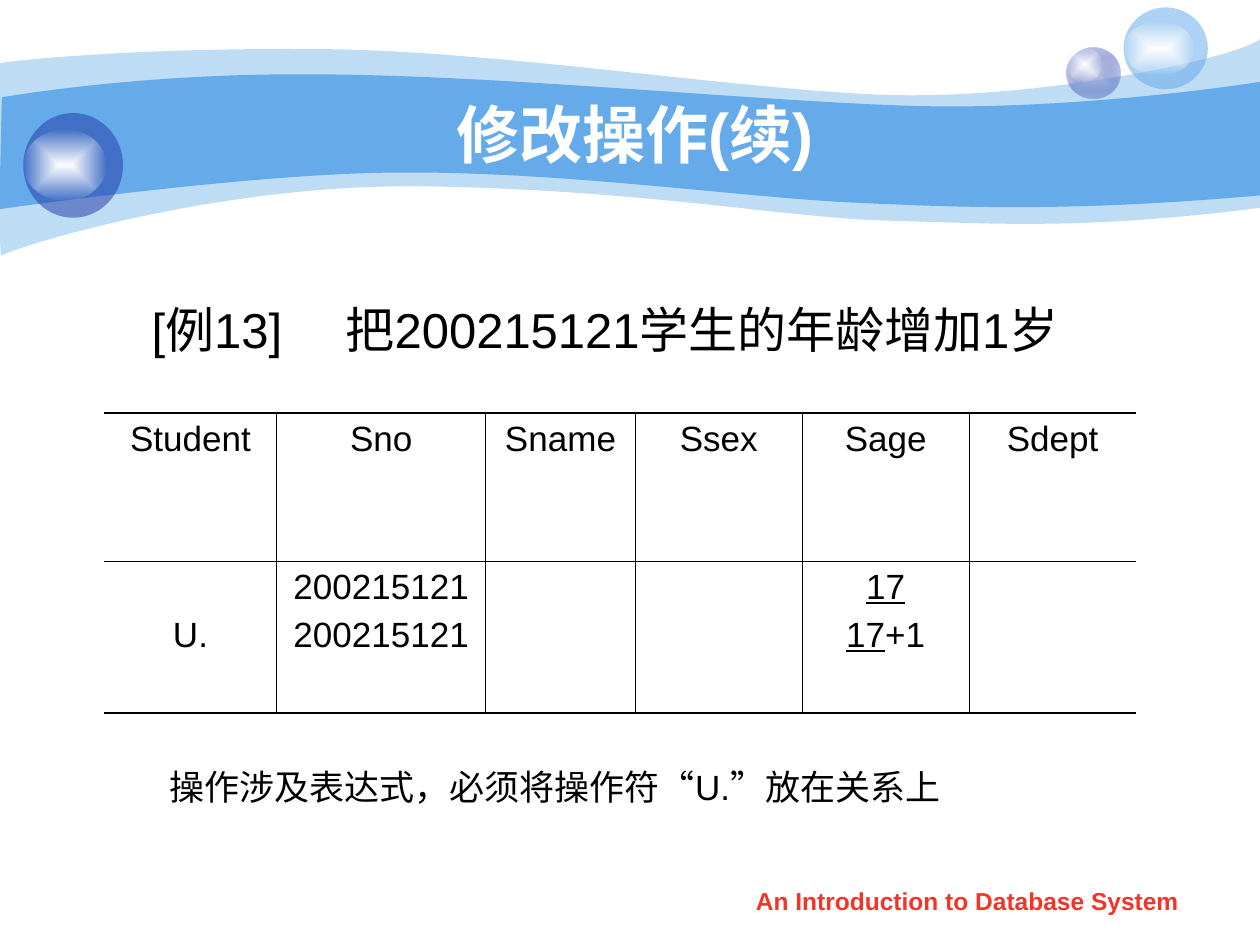
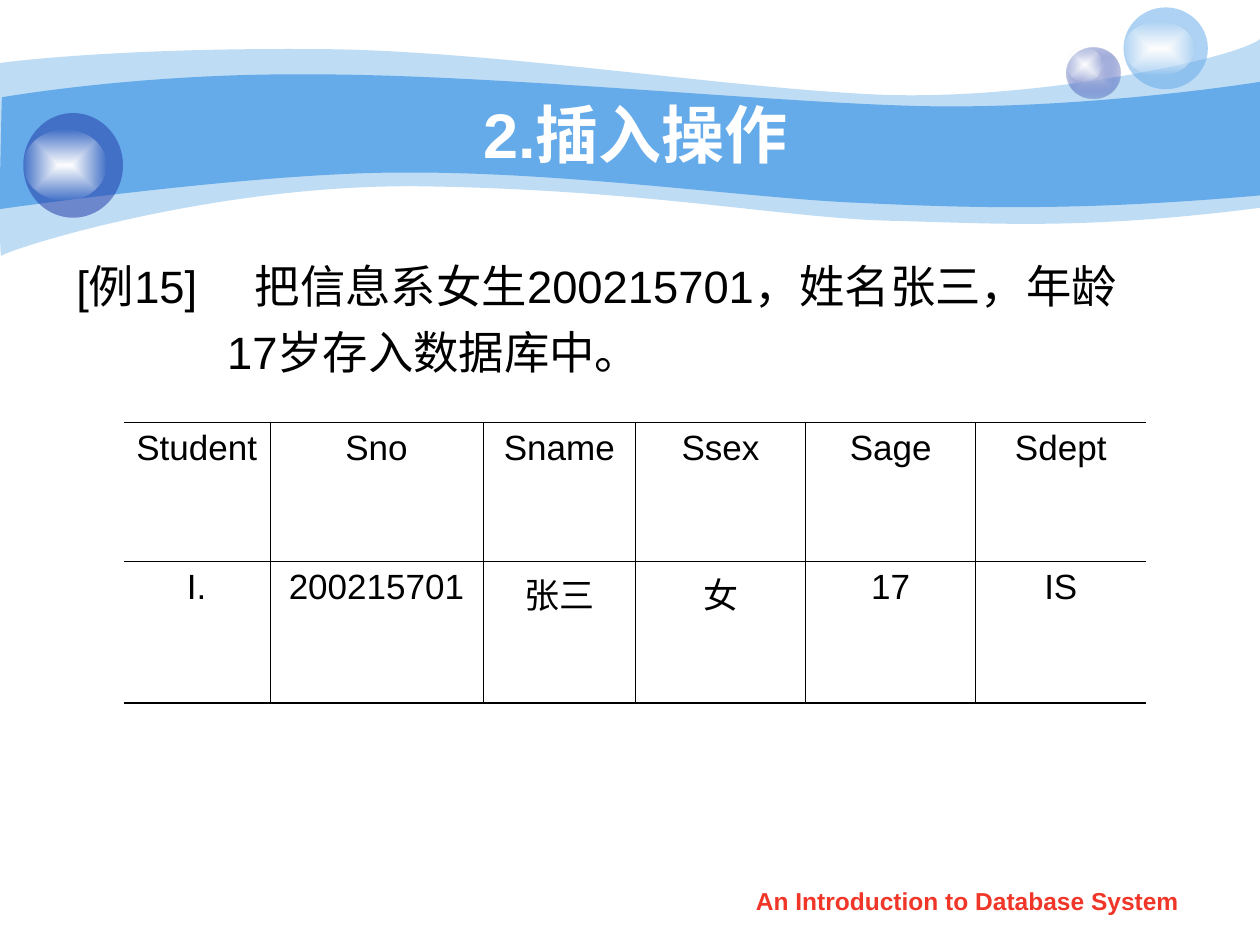
"""Build two slides on update and insert operations of a database course."""
from itertools import product
from lxml import etree
from pptx import Presentation
from pptx import util as u
from pptx.dml.color import RGBColor
from pptx.enum import lang, shapes, text
from pptx.oxml.ns import qn

COLORS = {
    "sky": "65AAE9", "navy": "233DA9", "mist": "C7CEE9",
    "white": "FFFFFF", "black": "000000", "red": "F03628",
}
FONT = "Arial"
FOOTER = "An Introduction to Database System"
HEADINGS = ["Student", "Sno", "Sname", "Ssex", "Sage", "Sdept"]
THICK, THIN = u.Pt(1.08), u.Pt(0.45)

PALE_WAVE = [
    (0, 1.27),
    (0.61, 1.19, 2.74, 0.97, 6.27, 0.99),
    (9.8, 0.99, 14.61, 1.78, 17.75, 1.91),
    (20.88, 2.03, 24.89, 1.19, 25.4, 0.79),
    (25.4, 4.19),
    (21.79, 4.65, 20.02, 4.5, 17.91, 4.45),
    (15.8, 4.39, 13.08, 3.84, 8.71, 3.76),
    (4.37, 3.66, 0.1, 5.05, 0.03, 5.16),
    (-0.03, 5.28, 0, 1.91, 0, 1.27),
]
BRIGHT_WAVE = [
    (0.04, 1.96),
    (0.08, 1.96, 2.79, 1.47, 6.3, 1.5),
    (9.83, 1.5, 15.14, 2.03, 18.24, 2.13),
    (21.36, 2.24, 24.79, 1.75, 25.4, 1.65),
    (25.4, 3.94),
    (21.67, 4.27, 19.46, 4.19, 17.32, 4.09),
    (15.21, 4.01, 11.35, 3.45, 8.05, 3.48),
    (5.16, 3.48, -0.05, 4.22, -0.03, 4.22),
    (0, 4.22, 0.03, 1.96, 0.04, 1.96),
]
WAVES = [(PALE_WAVE, 41), (BRIGHT_WAVE, 100)]

GLOW = [("white", 100), ("white", 0)]
BUBBLES = [
    (21.51, 0.96, 1.07, 1.02, [("mist", 100), ("navy", 31)]),
    (21.51, 0.96, 0.71, 0.69, GLOW),
    (22.65, 0.15, 1.7, 1.65, [("sky", 53)]),
    (22.65, 0.43, 1.42, 1.09, GLOW),
    (0.47, 2.28, 2.01, 2.11, [("navy", 53)]),
    (0.47, 2.62, 1.68, 1.42, GLOW),
]

SLIDES = [
    {
        "title": "修改操作(续)",
        "notes": [
            ((3.06, 6.03, 21.5, 1.5), 28, 3.91, "[例13]\t把200215121学生的年龄增加1岁"),
            ((3.41, 15.43, 20, 1.1), 20, 0, "操作涉及表达式，必须将操作符“U.”放在关系上"),
        ],
        "table_at": (2.1, 8.33),
        "columns": [3.48, 4.21, 3.02, 3.36, 3.37, 3.36],
        "rows": [2.99, 3.05],
        "record": ["U.", "200215121\n200215121", "", "", "17\n17", ""],
    },
    {
        "title": "2.插入操作",
        "notes": [
            ((1.54, 5.2, 23, 2.7), 25.9, 3.6,
             "[例15]\t把信息系女生200215701，姓名张三，年龄\n17岁存入数据库中。"),
        ],
        "table_at": (2.49, 8.52),
        "columns": [2.95, 4.3, 3.07, 3.43, 3.43, 3.43],
        "rows": [2.8, 2.85],
        "record": ["I.", "200215701", "张三", "女", "17", "IS"],
    },
]


def paint(shape, stops):
    """Fill a borderless shape with one colour or a gradient from its centre."""
    shape.shadow.inherit = False
    shape.line.fill.background()
    shape.fill.background()
    blank = shape.element.spPr.find(qn("a:noFill"))
    fill = etree.Element(qn("a:solidFill" if len(stops) == 1 else "a:gradFill"))
    parent = fill if len(stops) == 1 else etree.SubElement(fill, qn("a:gsLst"))
    for index, (name, opacity) in enumerate(stops):
        holder = parent
        if len(stops) > 1:
            holder = etree.SubElement(parent, qn("a:gs"), pos=str(index * 100000))
        color = etree.SubElement(holder, qn("a:srgbClr"), val=COLORS[name])
        if opacity < 100:
            etree.SubElement(color, qn("a:alpha"), val=str(opacity * 1000))
    if len(stops) > 1:
        spread = etree.SubElement(fill, qn("a:path"), path="rect")
        sides = dict.fromkeys("ltrb", "50000")
        etree.SubElement(spread, qn("a:fillToRect"), **sides)
    blank.getparent().replace(blank, fill)


def style(frame, size, color, align, bold=False):
    """Format every paragraph and run of a text frame."""
    frame.word_wrap = True
    for paragraph in frame.paragraphs:
        paragraph.alignment = align
        for span in paragraph.runs:
            span.font.name = FONT
            span.font.size = u.Pt(size)
            span.font.bold = bold
            span.font.color.rgb = RGBColor.from_string(COLORS[color])
            span.font.language_id = lang.MSO_LANGUAGE_ID.SIMPLIFIED_CHINESE


LEFT, CENTER = text.PP_ALIGN.LEFT, text.PP_ALIGN.CENTER
MIDDLE = text.MSO_ANCHOR.MIDDLE
deck = Presentation()
deck.slide_width, deck.slide_height = u.Cm(25.4), u.Cm(19.05)
tables = []

for content in SLIDES:
    page = deck.slides.add_slide(deck.slide_layouts[6])

    for outline, opacity in WAVES:
        corners = [(u.Cm(segment[-2]), u.Cm(segment[-1])) for segment in outline]
        builder = page.shapes.build_freeform(*corners[0])
        builder.add_line_segments(corners[1:], close=True)
        wave = builder.convert_to_shape()
        edges = list(wave.element.iter(qn("a:lnTo")))
        for edge, segment in zip(edges, outline[1:]):
            if len(segment) == 2:
                continue
            curve = etree.Element(qn("a:cubicBezTo"))
            for x, y in zip(segment[::2], segment[1::2]):
                etree.SubElement(curve, qn("a:pt"), x=str(u.Cm(x) - wave.left),
                                 y=str(u.Cm(y) - wave.top))
            edge.getparent().replace(edge, curve)
        paint(wave, [("sky", opacity)])

    for *place, stops in BUBBLES:
        bubble = page.shapes.add_shape(shapes.MSO_SHAPE.OVAL, *map(u.Cm, place))
        paint(bubble, stops)

    labels = [
        ((14.5, 17.71, 10.01, 0.89), 14, 0, FOOTER, "red", CENTER, True),
        ((2.55, 1.9, 20.52, 1.57), 36, 0, content["title"], "white", CENTER, True),
    ]
    labels += [(*note, "black", LEFT, False) for note in content["notes"]]
    for place, size, tab, words, color, align, bold in labels:
        box = page.shapes.add_textbox(*map(u.Cm, place))
        frame = box.text_frame
        frame.margin_left = frame.margin_right = frame.margin_top = frame.margin_bottom = 0
        frame.vertical_anchor = MIDDLE if bold else text.MSO_ANCHOR.TOP
        frame.text = words
        if tab:
            stops = etree.SubElement(frame.paragraphs[0]._p.get_or_add_pPr(), qn("a:tabLst"))
            etree.SubElement(stops, qn("a:tab"), pos=str(u.Cm(tab)), algn="l")
        for paragraph in frame.paragraphs[1:]:
            paragraph.space_before = u.Pt(7)
            paragraph._p.get_or_add_pPr().set("marL", str(u.Cm(3.04)))
        style(frame, size, color, align, bold)

    columns, rows = content["columns"], content["rows"]
    graphic = page.shapes.add_table(
        len(rows), len(columns), *map(u.Cm, content["table_at"]),
        u.Cm(sum(columns)), u.Cm(sum(rows)))
    table = graphic.table
    table.first_row = table.horz_banding = False
    for column, width in zip(table.columns, columns):
        column.width = u.Cm(width)
    for row, height in zip(table.rows, rows):
        row.height = u.Cm(height)
    values = [HEADINGS, content["record"]]
    for r, c in product(range(len(rows)), range(len(columns))):
        cell = table.cell(r, c)
        cell.text_frame.text = values[r][c]
        style(cell.text_frame, 20, "black", CENTER)
        for paragraph in cell.text_frame.paragraphs[1:]:
            paragraph.space_before = u.Pt(5)
        borders = {
            "lnL": THIN if c > 0 else 0,
            "lnR": THIN if c < len(columns) - 1 else 0,
            "lnT": THIN if r > 0 else THICK,
            "lnB": THIN if r < len(rows) - 1 else THICK,
        }
        properties = cell._tc.get_or_add_tcPr()
        for side, weight in borders.items():
            line = etree.SubElement(properties, qn("a:" + side), w=str(int(weight)))
            ink = etree.SubElement(line, qn("a:solidFill" if weight else "a:noFill"))
            if weight:
                etree.SubElement(ink, qn("a:srgbClr"), val=COLORS["black"])
        cell.fill.background()
    tables.append(table)

update_table = tables[0]
update_table.cell(1, 0).vertical_anchor = MIDDLE
update_table.cell(1, 0).margin_bottom = u.Cm(0.2)
age = update_table.cell(1, 4).text_frame
age.paragraphs[1].add_run().text = "+1"
style(age, 20, "black", CENTER)
for paragraph in age.paragraphs:
    paragraph.runs[0].font.underline = True

deck.save("out.pptx")
